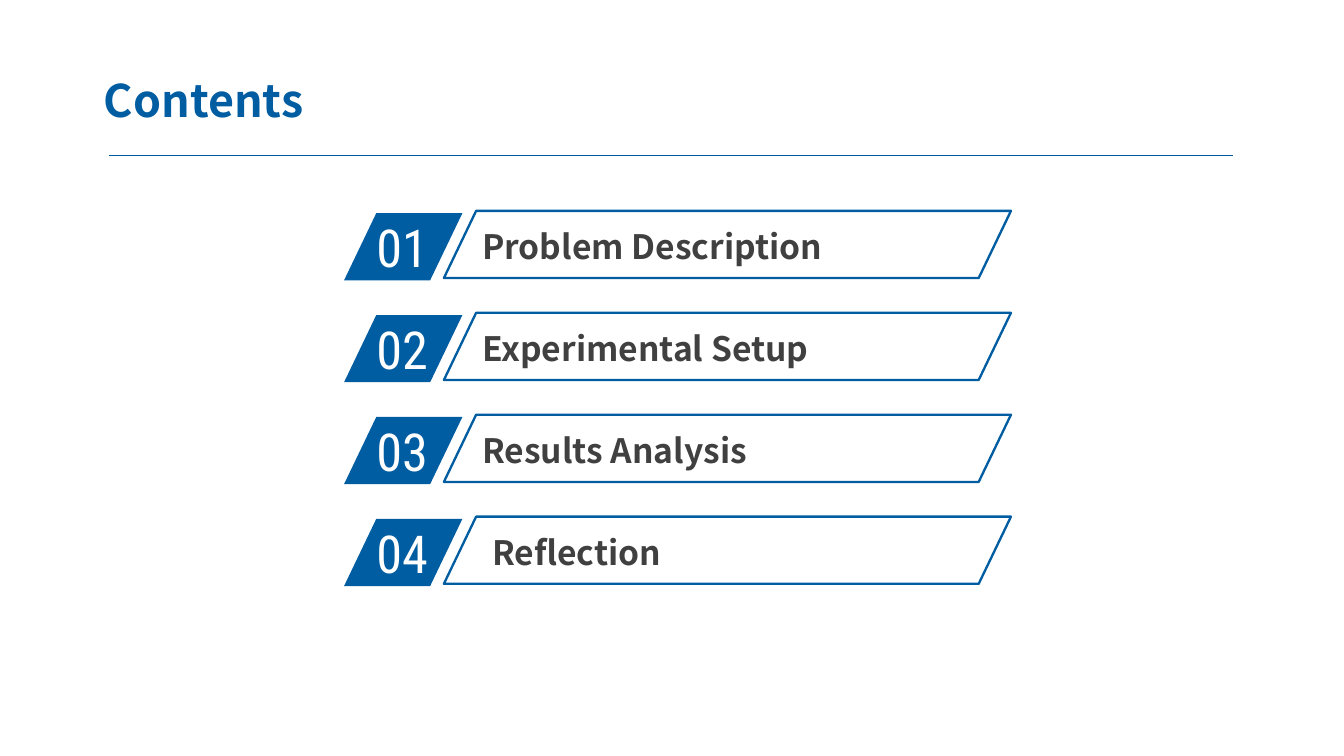
from lxml import etree
from pptx import Presentation
from pptx.dml.color import RGBColor
from pptx.enum import shapes, text
from pptx.oxml.ns import qn
from pptx.util import Pt

BLUE, GREY, WHITE = "005DA2", "404040", "FFFFFF"
SANS, CONDENSED = "Noto Sans CJK SC", "Roboto Condensed"


def write(sp, words, color, margins=(7.2, 3.6), **font):
    """Fill a text shape with one left-aligned, vertically centred line."""
    tf = sp.text_frame
    sides = dict(zip(("margin_left", "margin_right", "margin_top", "margin_bottom"),
                     (Pt(margins[0]),) * 2 + (Pt(margins[1]),) * 2))
    frame = dict(sides, word_wrap=True, auto_size=text.MSO_AUTO_SIZE.NONE,
                 vertical_anchor=text.MSO_ANCHOR.MIDDLE)
    for name, value in frame.items():
        setattr(tf, name, value)
    p = tf.paragraphs[0]
    p.alignment = text.PP_ALIGN.LEFT
    r = p.add_run()
    r.text = words
    for name, value in font.items():
        setattr(r.font, name, value)
    r.font.color.rgb = RGBColor.from_string(color)


def add_parallelogram(left, top, width, height):
    sp = slide.shapes.add_shape(shapes.MSO_SHAPE.PARALLELOGRAM,
                                Pt(left), Pt(top), Pt(width), Pt(height))
    sp.adjustments[0] = 0.48
    sp.shadow.inherit = False
    return sp


prs = Presentation()
prs.slide_width, prs.slide_height = Pt(720), Pt(405)
slide = prs.slides.add_slide(prs.slide_layouts[5])

# Title and rule
title = slide.shapes.title
place = dict(left=48.5, top=34, width=178, height=39)
for name, value in place.items():
    setattr(title, name, Pt(value))
write(title, "Contents", BLUE, name=SANS, size=Pt(24), bold=True)

rule = slide.shapes.add_connector(shapes.MSO_CONNECTOR.STRAIGHT,
                                  Pt(58.5), Pt(83.3), Pt(660.5), Pt(83.3))
rule.line.color.rgb = RGBColor.from_string("005B9E")
rule.line.width = Pt(0.75)
etree.SubElement(rule._element.spPr, qn("a:effectLst"))

# Numbered entries: heading, left and width of its text box
entries = [
    ("Problem Description", 253.4, 300),
    ("Experimental Setup", 253.4, 248),
    ("Results Analysis", 253.4, 287),
    ("Reflection", 258.8, 222),
]
FIRST_TOP, PITCH = 113, 54.6

for i, (heading, left, width) in enumerate(entries):
    top = FIRST_TOP + i * PITCH

    badge = add_parallelogram(184.3, top + 1.2, 63.4, 36)
    badge.fill.solid()
    badge.fill.fore_color.rgb = RGBColor.from_string(BLUE)
    badge.line.fill.background()

    number = slide.shapes.add_textbox(Pt(194.6), Pt(top - 1.4), Pt(60.5), Pt(41))
    write(number, f"{i + 1:02d}", WHITE, name=CONDENSED, size=Pt(28))

    label = slide.shapes.add_textbox(Pt(left), Pt(top + 5.2), Pt(width), Pt(27.4))
    write(label, heading, GREY, margins=(5, 2.9), name=SANS, size=Pt(18), bold=True)

    outline = add_parallelogram(237.8, top, 303.8, 36)
    outline.fill.background()
    outline.line.color.rgb = RGBColor.from_string(BLUE)
    outline.line.width = Pt(1.25)

prs.save("out.pptx")
